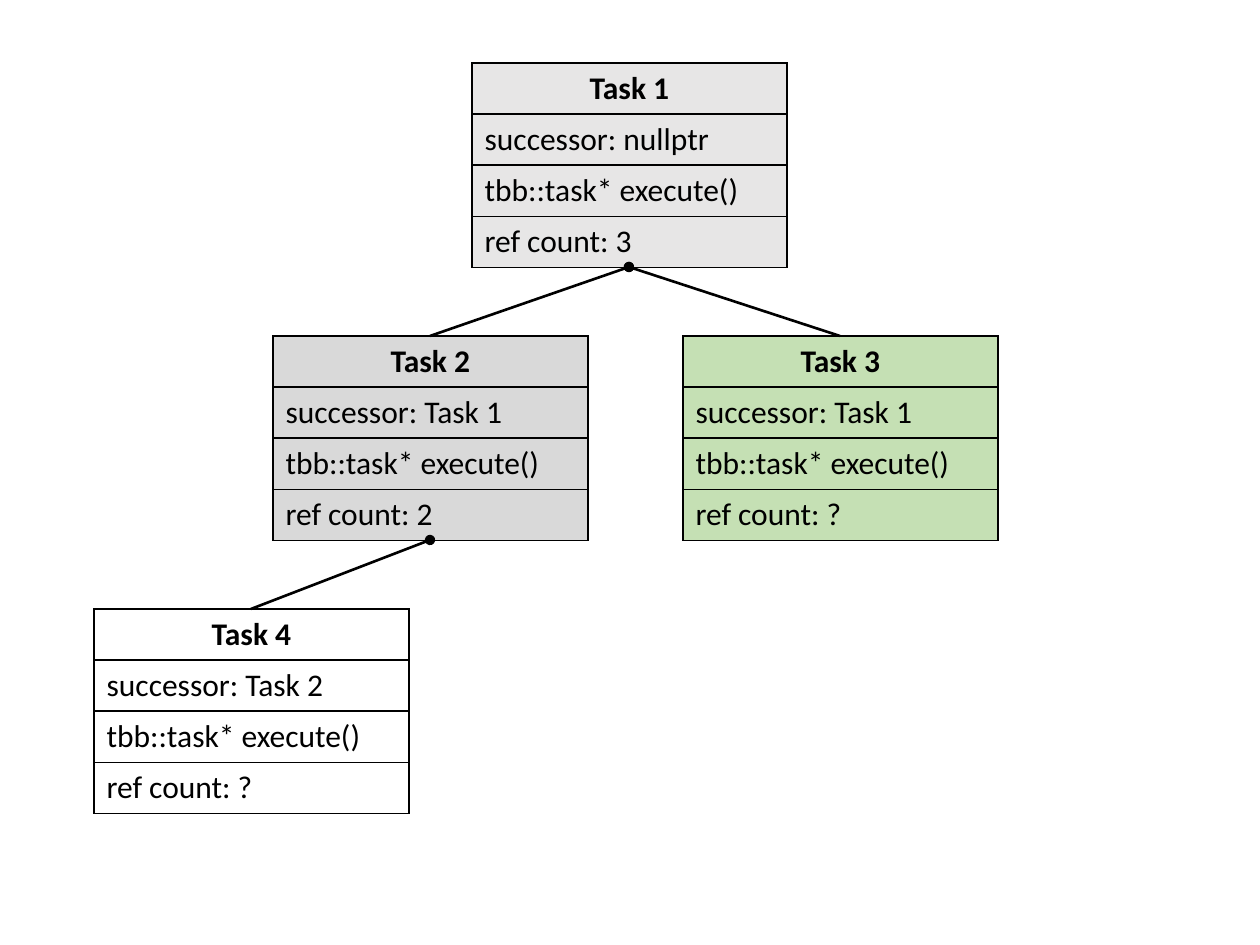
import pptx
import pptx.dml.color
import pptx.enum.shapes
import pptx.enum.text
import pptx.oxml
import pptx.oxml.ns
import pptx.util

SCALE = 914400 // 126
CARD_WIDTH, ROW_HEIGHT = 315, 51
CARD_HEIGHT = 4 * ROW_HEIGHT
BLACK = "000000"
NAMESPACE = pptx.oxml.ns.nsdecls("a")
TEXT_FORMAT = {"name": "Calibri", "size": pptx.util.Pt(18)}

TASKS = {
    "Task 1": {"left": 472, "top": 63, "fill": "E7E6E6", "successor": "nullptr", "count": "3"},
    "Task 2": {"left": 273, "top": 336, "fill": "D9D9D9", "successor": "Task 1", "count": "2"},
    "Task 3": {"left": 683, "top": 336, "fill": "C5E0B4", "successor": "Task 1", "count": "?"},
    "Task 4": {"left": 94, "top": 609, "fill": "FFFFFF", "successor": "Task 2", "count": "?"},
}


def px(length):
    return pptx.util.Emu(length * SCALE)


def color(value):
    return pptx.dml.color.RGBColor.from_string(value)


def add_borders(cell):
    properties = cell._tc.get_or_add_tcPr()
    for index, side in enumerate(("lnL", "lnR", "lnT", "lnB")):
        border = pptx.oxml.parse_xml(
            f'<a:{side} {NAMESPACE} w="12700"><a:solidFill>'
            f'<a:srgbClr val="{BLACK}"/></a:solidFill></a:{side}>')
        properties.insert(index, border)


def add_task(page, name, task):
    frame = page.shapes.add_table(
        4, 1, px(task["left"]), px(task["top"]), px(CARD_WIDTH), px(CARD_HEIGHT))
    frame.name = name
    table = frame.table
    lines = (name, f"successor: {task['successor']}", "tbb::task* execute()",
             f"ref count: {task['count']}")
    for index, text in enumerate(lines):
        table.rows[index].height = px(ROW_HEIGHT)
        cell = table.cell(index, 0)
        cell.fill.solid()
        cell.fill.fore_color.rgb = color(task["fill"])
        add_borders(cell)
        para = cell.text_frame.paragraphs[0]
        if index == 0:
            para.alignment = pptx.enum.text.PP_ALIGN.CENTER
        span = para.add_run()
        span.text = text
        for key, value in {**TEXT_FORMAT, "bold": index == 0}.items():
            setattr(span.font, key, value)
        span.font.color.rgb = color(BLACK)


def add_link(page, task, successor):
    middle = CARD_WIDTH // 2
    link = page.shapes.add_connector(
        pptx.enum.shapes.MSO_CONNECTOR.STRAIGHT,
        px(task["left"] + middle), px(task["top"]),
        px(successor["left"] + middle), px(successor["top"] + CARD_HEIGHT))
    link.line.width = pptx.util.Pt(1.5)
    link.line.color.rgb = color(BLACK)
    link.line._get_or_add_ln().append(
        pptx.oxml.parse_xml(f'<a:tailEnd {NAMESPACE} type="oval"/>'))
    link._element.spPr.append(pptx.oxml.parse_xml(f"<a:effectLst {NAMESPACE}/>"))


def add_task_tree(page):
    for name, task in TASKS.items():
        add_task(page, name, task)
        if task["successor"] in TASKS:
            add_link(page, task, TASKS[task["successor"]])


deck = pptx.Presentation()
deck.slide_width, deck.slide_height = px(1260), px(945)
add_task_tree(deck.slides.add_slide(deck.slide_layouts[6]))
deck.save("out.pptx")
